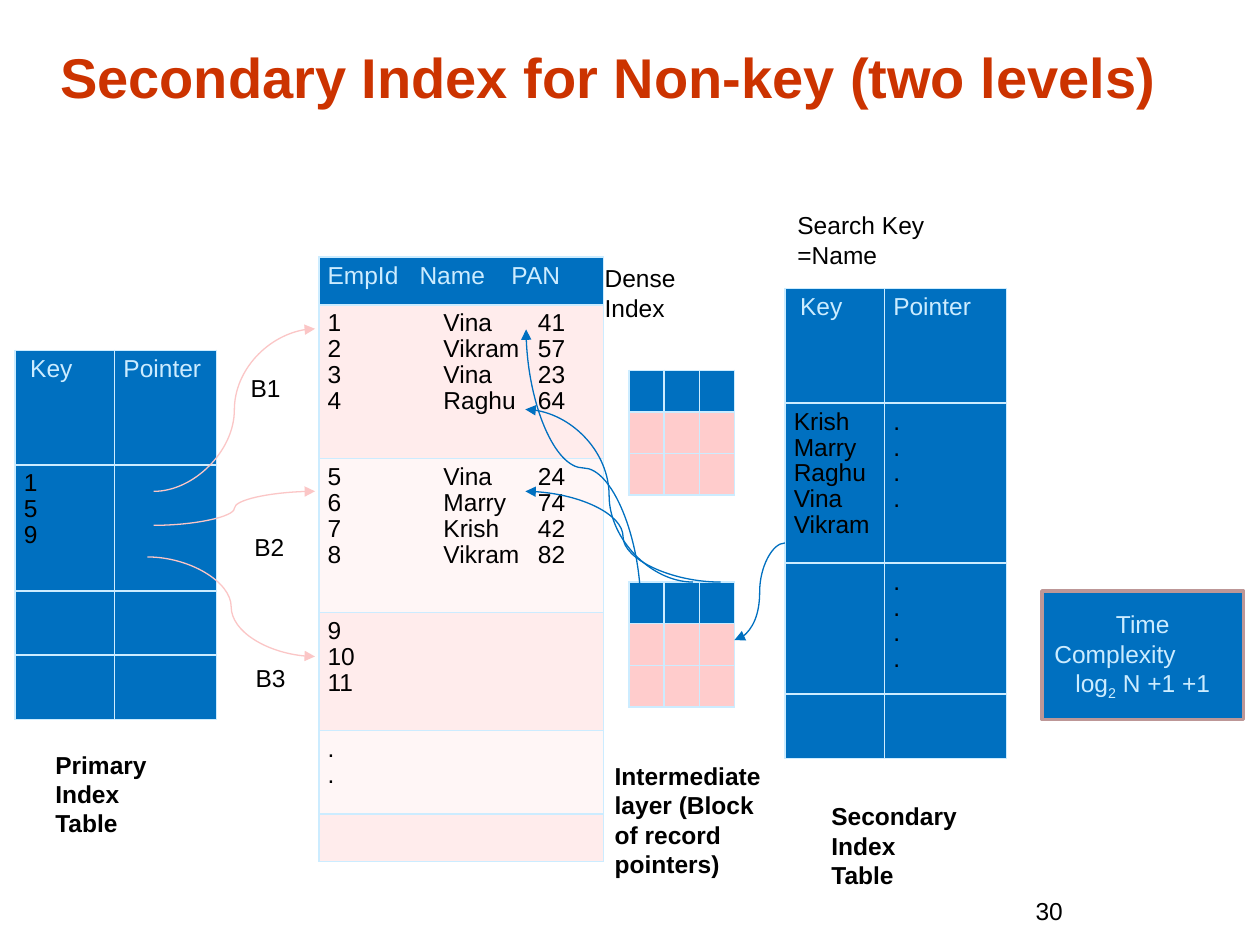
from lxml import etree
from pptx import Presentation
from pptx import util as u
from pptx.dml import color
from pptx.enum import shapes, text
from pptx.oxml import ns

SCALE = 9144  # EMU per px, 100 px to the inch
FONT = "Arial"
BLUE, PALE, BLACK = "0070C0", "CCECFF", "000000"
PINK, ROSE, BLUSH = "FFCCCC", "FFECEC", "FFF6F6"


def px(length):
    return u.Emu(length * SCALE)


def rgb(value):
    return color.RGBColor.from_string(value)


def child(parent, tag, **attributes):
    return etree.SubElement(parent, ns.qn(tag), attributes)


def add_run(paragraph, words, size=14, colour=BLACK, bold=False):
    run = paragraph.add_run()
    run.text = words
    run.font.name = FONT
    run.font.size = u.Pt(size)
    run.font.bold = bold
    run.font.color.rgb = rgb(colour)
    return run


def add_label(slide, box, words, size=14, colour=BLACK, bold=False,
              align=text.PP_ALIGN.LEFT, anchor=text.MSO_ANCHOR.TOP):
    frame = slide.shapes.add_textbox(*map(px, box)).text_frame
    frame.word_wrap = True
    frame.vertical_anchor = anchor
    frame.paragraphs[0].alignment = align
    add_run(frame.paragraphs[0], words, size, colour, bold)


# Tables
def set_tabs(paragraph, stops):
    tab_list = child(paragraph._p.get_or_add_pPr(), "a:tabLst")
    for stop in stops:
        child(tab_list, "a:tab", pos=str(px(stop)), algn="l")


def set_borders(cell):
    properties = cell._tc.get_or_add_tcPr()
    for side in ("a:lnL", "a:lnR", "a:lnT", "a:lnB"):
        line = child(properties, side, w=str(u.Pt(1)))
        child(child(line, "a:solidFill"), "a:srgbClr", val=PALE)


def fill_cell(cell, lines, fill, colour, stops):
    set_borders(cell)
    cell.fill.solid()
    cell.fill.fore_color.rgb = rgb(fill)
    cell.margin_left = cell.margin_right = px(7)
    cell.margin_top = cell.margin_bottom = px(5 if lines else 0)
    frame = cell.text_frame
    if not lines:
        child(frame.paragraphs[0]._p, "a:endParaRPr", sz="600")
    for index, words in enumerate(lines):
        paragraph = frame.add_paragraph() if index else frame.paragraphs[0]
        paragraph.line_spacing = 0.94
        if stops:
            set_tabs(paragraph, stops)
        add_run(paragraph, words, colour=colour)


def add_grid(slide, left, top, widths, heights, fills, content=None,
             header_stops=(), body_stops=()):
    """content maps (row, column) to the lines of that cell."""
    content = content or {}
    table = slide.shapes.add_table(len(heights), len(widths), px(left), px(top),
                                   px(sum(widths)), px(sum(heights))).table
    table.first_row = table.horz_banding = False
    for column, width in zip(table.columns, widths):
        column.width = px(width)
    for r, height in enumerate(heights):
        table.rows[r].height = px(height)
        for c in range(len(widths)):
            fill_cell(table.cell(r, c), content.get((r, c), []), fills[r],
                      BLACK if r else PALE, body_stops if r else header_stops)
    return table


def add_index_table(slide, left, top, widths, heights, content):
    headers = {(0, 0): ["Key"], (0, 1): ["Pointer"]}
    table = add_grid(slide, left, top, widths, heights,
                     [BLUE] * len(heights), headers | content)
    table.cell(0, 0).margin_left = px(12)


def add_pointer_block(slide, left, top):
    add_grid(slide, left, top, [28] * 3, [33] * 3, [BLUE, PINK, PINK])


def add_data_table(slide, left, top):
    content = {
        (0, 0): ["EmpId\tName\tPAN"],
        (1, 0): ["1\tVina\t41", "2\tVikram\t57", "3\tVina\t23", "4\tRaghu\t64"],
        (2, 0): ["5\tVina\t24", "6\tMarry\t74", "7\tKrish\t42", "8\tVikram\t82"],
        (3, 0): ["9", "10", "11"],
        (4, 0): [".", "."],
    }
    add_grid(slide, left, top, [226], [38, 122, 122, 94, 66, 38],
             [BLUE, ROSE, BLUSH, ROSE, BLUSH, ROSE], content,
             header_stops=(73, 146), body_stops=(92, 167))


# Arrows
def add_curve(slide, start, end, colour, rotation=0):
    curve = slide.shapes.add_connector(shapes.MSO_CONNECTOR.CURVE,
                                       *map(px, start + end))
    curve.line.color.rgb = rgb(colour)
    curve.line.width = u.Pt(0.75)
    child(curve.line._get_or_add_ln(), "a:tailEnd", type="triangle")
    properties = curve._element.spPr
    child(properties, "a:effectLst")
    if rotation:
        properties.find(ns.qn("a:xfrm")).set("rot", str(rotation * 60000))


# Time complexity box
def add_complexity_box(slide, box):
    shape = slide.shapes.add_shape(shapes.MSO_SHAPE.RECTANGLE, *map(px, box))
    shape.shadow.inherit = False
    shape.fill.solid()
    shape.fill.fore_color.rgb = rgb(BLUE)
    shape.line.color.rgb = rgb("BD9797")
    shape.line.width = u.Pt(2)
    frame = shape.text_frame
    frame.word_wrap = True
    frame.vertical_anchor = text.MSO_ANCHOR.MIDDLE
    center, left = text.PP_ALIGN.CENTER, text.PP_ALIGN.LEFT
    rows = [(center, ["Time"]), (left, ["Complexity"]),
            (center, ["log", "2", " N +1 +1"])]
    for index, (align, pieces) in enumerate(rows):
        paragraph = frame.add_paragraph() if index else frame.paragraphs[0]
        paragraph.alignment = align
        for piece in pieces:
            run = add_run(paragraph, piece, colour=PALE)
            if piece == "2":
                run.font._element.set("baseline", "-25000")


def main():
    presentation = Presentation()
    presentation.slide_width, presentation.slide_height = px(1000), px(750)
    slide = presentation.slides.add_slide(presentation.slide_layouts[6])

    add_label(slide, (14, 25, 938, 67), "Secondary Index for Non-key (two levels)",
              32, "CC3300", True, text.PP_ALIGN.CENTER, text.MSO_ANCHOR.BOTTOM)
    add_data_table(slide, 253, 204)
    add_label(slide, (812, 706, 108, 40), "30")

    # Primary index and its block pointers
    add_index_table(slide, 12, 278, [79, 81], [91, 100, 51, 51],
                    {(1, 0): ["1", "5", "9"]})
    add_label(slide, (34, 590, 105, 81), "Primary Index Table", bold=True)
    for name, left, top in (("B1", 189, 291), ("B2", 192, 417), ("B3", 193, 521)):
        add_label(slide, (left, top, 50, 34), name)
    for start, end in (((122, 390), (250, 261)), ((122, 417), (250, 390)),
                       ((117, 442), (250, 521))):
        add_curve(slide, start, end, "FBC6C6")

    # Secondary index
    dots = ["."] * 4
    add_index_table(slide, 623, 229, [79, 97], [91, 127, 104, 51],
                    {(1, 0): ["Krish", "Marry", "Raghu", "Vina", "Vikram"],
                     (1, 1): dots, (2, 1): dots})
    add_label(slide, (470, 204, 119, 57), "Dense Index")
    add_complexity_box(slide, (827, 469, 160, 102))
    add_label(slide, (650, 631, 120, 81), "Secondary Index Table", bold=True)
    add_label(slide, (623, 162, 162, 57), "Search Key =Name")

    # Intermediate layer and its record pointers
    add_pointer_block(slide, 499, 462)
    add_label(slide, (478, 599, 145, 104),
              "Intermediate layer (Block of record pointers)", bold=True)
    add_curve(slide, (623, 431), (583, 508), BLUE)
    add_curve(slide, (353, 417), (573, 326), BLUE, rotation=270)
    add_curve(slide, (550, 462), (417, 325), BLUE)
    add_curve(slide, (572, 462), (417, 390), BLUE)
    add_pointer_block(slide, 499, 294)

    presentation.save("out.pptx")


if __name__ == "__main__":
    main()
